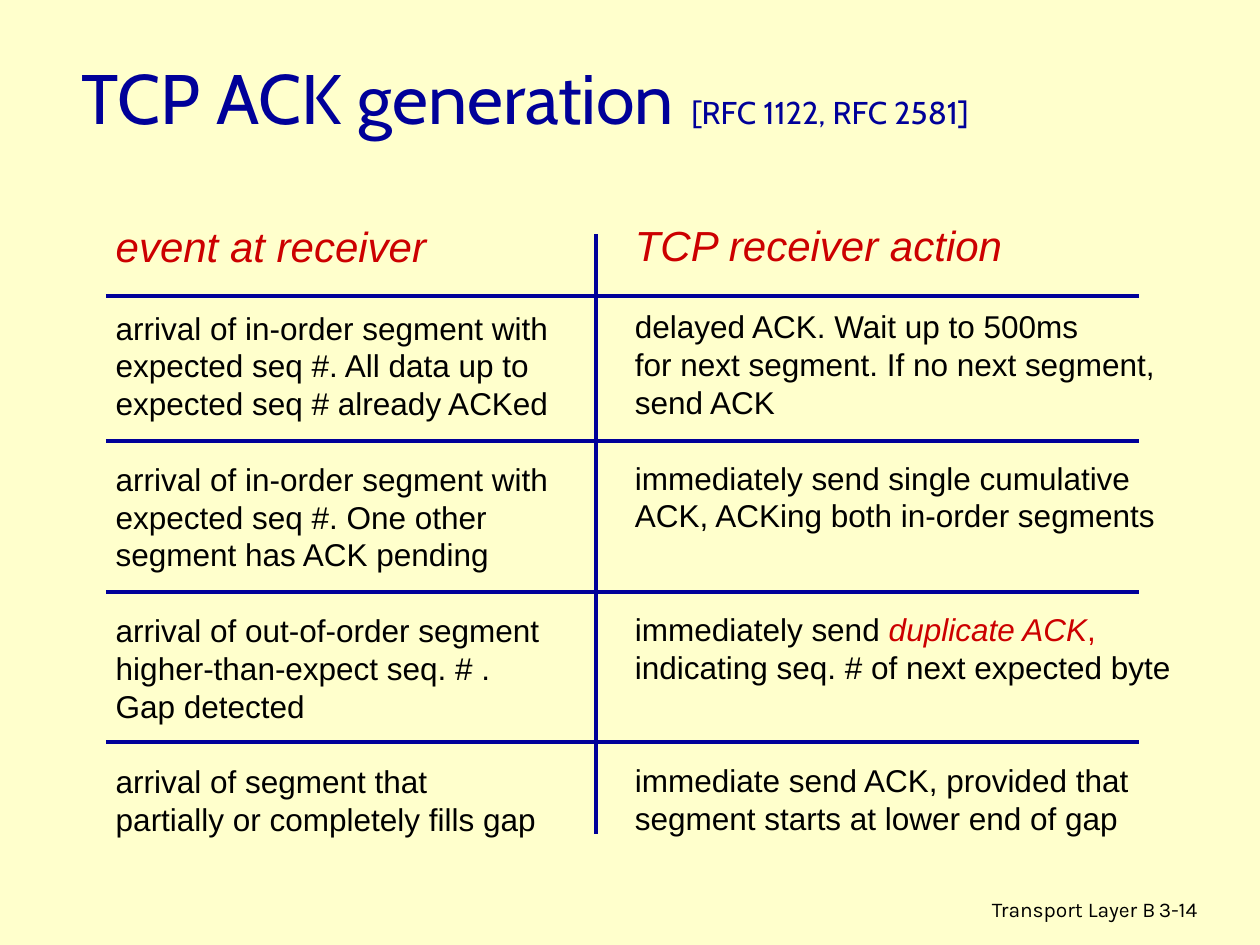
from lxml import etree
from pptx import Presentation
from pptx.dml.color import RGBColor
from pptx.enum.shapes import MSO_CONNECTOR
from pptx.enum.text import MSO_ANCHOR, MSO_AUTO_SIZE, PP_ALIGN
from pptx.oxml.ns import qn
from pptx.util import Inches, Pt

LEFT, RIGHT = PP_ALIGN.LEFT, PP_ALIGN.RIGHT
MIDDLE = MSO_ANCHOR.MIDDLE
NO_FIT = MSO_AUTO_SIZE.NONE
STRAIGHT = MSO_CONNECTOR.STRAIGHT

CREAM = RGBColor(0xFF, 0xFF, 0xCC)
NAVY = RGBColor(0x00, 0x00, 0x99)
RED = RGBColor(0xCC, 0x00, 0x00)
BLACK = RGBColor(0x00, 0x00, 0x00)

HEADING_SIZE, BODY_SIZE = 24, 18
LEADING = 1.2  # line height as a multiple of the text size
TITLE_ONLY = 5

# Each entry: blank lines of space above it, then its lines of (text, emphasised) parts
EVENTS = [
    (1, ["arrival of in-order segment with",
         "expected seq #. All data up to",
         "expected seq # already ACKed"]),
    (1, ["arrival of in-order segment with",
         "expected seq #. One other",
         "segment has ACK pending"]),
    (1, ["arrival of out-of-order segment",
         "higher-than-expect seq. # .",
         "Gap detected"]),
    (1, ["arrival of segment that",
         "partially or completely fills gap"]),
]
ACTIONS = [
    (1, ["delayed ACK. Wait up to 500ms",
         "for next segment. If no next segment,",
         "send ACK"]),
    (1, ["immediately send single cumulative",
         "ACK, ACKing both in-order segments"]),
    (2, [[("immediately send ", BLACK, False), ("duplicate ACK", RED, True),
          (",", RED, False)],
         "indicating seq. # of next expected byte"]),
    (2, ["immediate send ACK, provided that",
         "segment starts at lower end of gap"]),
]


def add_run(paragraph, text, font, size, color, italic=False):
    run = paragraph.add_run()
    run.text = text
    run.font.name = font
    run.font.size = Pt(size)
    run.font.color.rgb = color
    run.font.italic = italic


def add_box(slide, box):
    frame = slide.shapes.add_textbox(*map(Inches, box)).text_frame
    frame.word_wrap = True
    return frame


def add_title(slide, box):
    title = slide.shapes.title
    title.left, title.top, title.width, title.height = map(Inches, box)
    frame = title.text_frame
    frame.auto_size = NO_FIT
    frame.vertical_anchor = MIDDLE
    heading = frame.paragraphs[0]
    heading.alignment = LEFT
    for text, size in (("TCP ACK generation", 40), (" ", 44),
                       ("[RFC 1122, RFC 2581]", 18)):
        add_run(heading, text, "Cabin", size, NAVY)


def add_column(slide, box, heading_text, entries):
    frame = add_box(slide, box)
    heading = frame.paragraphs[0]
    heading.line_spacing = Pt(HEADING_SIZE * LEADING)
    add_run(heading, heading_text, "Arial", HEADING_SIZE, RED, True)
    line_height = BODY_SIZE * LEADING
    for gap, lines in entries:
        for number, line in enumerate(lines):
            paragraph = frame.add_paragraph()
            paragraph.line_spacing = Pt(line_height)
            paragraph.space_before = Pt(0 if number else gap * line_height)
            parts = [(line, BLACK, False)] if isinstance(line, str) else line
            for text, color, italic in parts:
                add_run(paragraph, text, "Arial", BODY_SIZE, color, italic)


def add_rule(slide, start, end):
    rule = slide.shapes.add_connector(STRAIGHT, *map(Inches, start + end))
    rule.line.color.rgb = NAVY
    rule.line.width = Pt(2.25)
    properties = rule._element.find(qn("p:spPr"))
    etree.SubElement(properties, qn("a:effectLst"))


def add_grid(slide, box):
    left, top, width, height = box
    divider = left + 3.89
    add_rule(slide, (divider, top), (divider, top + height))
    for offset in (0.49, 1.64, 2.84, 4.03):
        add_rule(slide, (left, top + offset), (left + width, top + offset))


def add_footer(slide, box):
    left, top, width, height = box
    number_left = left + 3
    for text, part, alignment in (
            ("Transport Layer B", (left, top, 3.17, height), RIGHT),
            ("3-14", (number_left, top, width - 3, height), LEFT)):
        paragraph = add_box(slide, part).paragraphs[0]
        paragraph.alignment = alignment
        add_run(paragraph, text, "Karla", 12, BLACK)


def main():
    deck = Presentation()
    deck.slide_width, deck.slide_height = Inches(10), Inches(7.5)
    slide = deck.slides.add_slide(deck.slide_layouts[TITLE_ONLY])
    slide.background.fill.solid()
    slide.background.fill.fore_color.rgb = CREAM

    add_footer(slide, (6.1, 7.07, 3.74, 0.3))
    add_title(slide, (0.55, 0.38, 8.5, 0.73))
    add_column(slide, (0.82, 1.7, 3.65, 5.47), "event at receiver", EVENTS)
    add_column(slide, (4.94, 1.69, 4.45, 5.47), "TCP receiver action", ACTIONS)
    add_grid(slide, (0.84, 1.86, 8.2, 4.76))
    deck.save("out.pptx")


if __name__ == "__main__":
    main()
